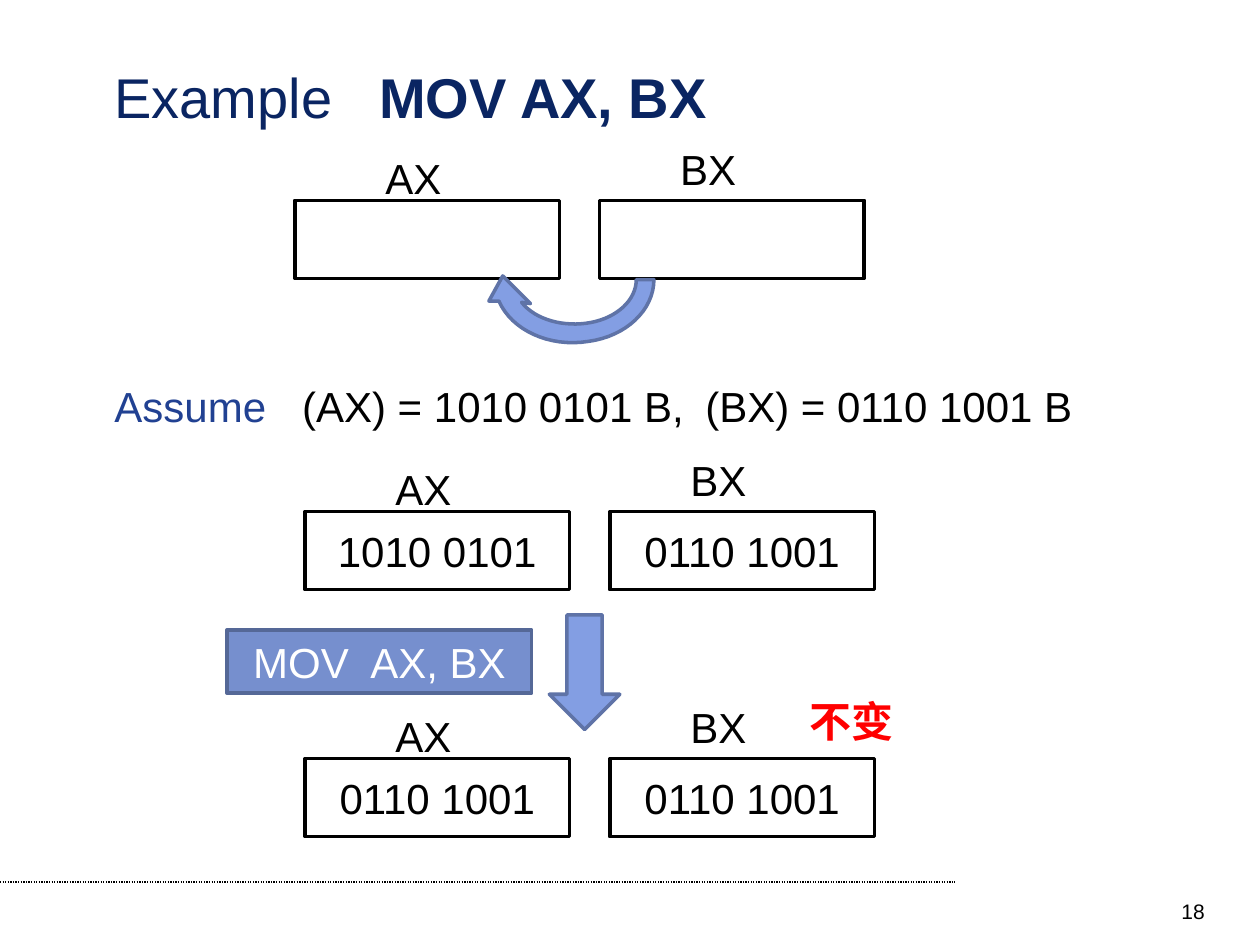
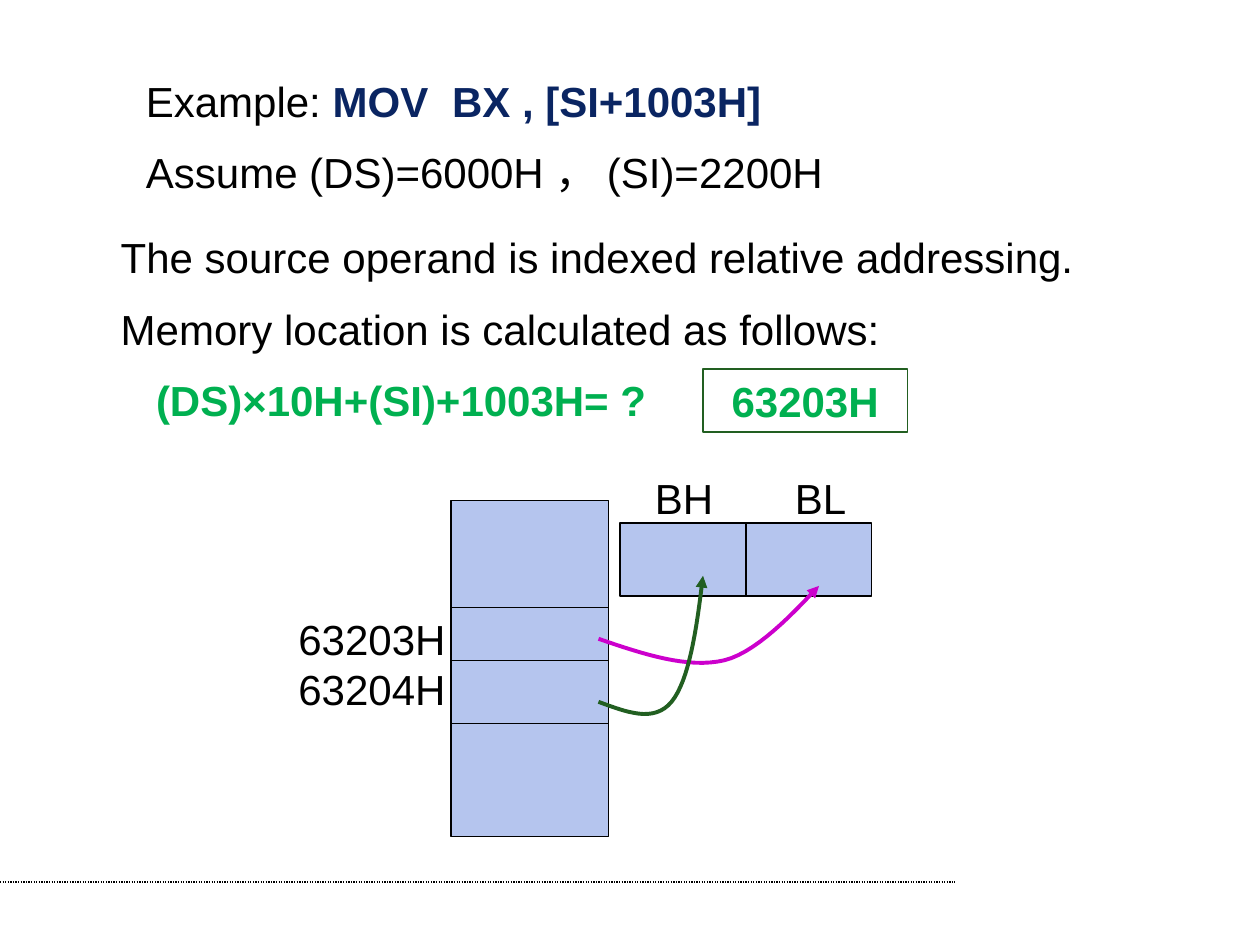
from lxml import etree
from pptx import Presentation
from pptx import util as u
from pptx.dml.color import RGBColor
from pptx.enum import dml, shapes, text
from pptx.oxml import ns

PX = 9144  # EMU per px, 100 px to the inch
FONT = "Arial"
BODY, TITLE, SMALL = 24, 32, 12

BLACK = RGBColor(0x00, 0x00, 0x00)
WHITE = RGBColor(0xFF, 0xFF, 0xFF)
NAVY = RGBColor(0x0A, 0x25, 0x62)
BLUE = RGBColor(0x21, 0x41, 0x92)
RED = RGBColor(0xFF, 0x00, 0x00)
GREEN = RGBColor(0x00, 0xB0, 0x50)
DARK_GREEN = RGBColor(0x22, 0x5F, 0x21)
MAGENTA = RGBColor(0xCC, 0x00, 0xCC)
CELL_BLUE = RGBColor(0xB5, 0xC5, 0xEE)
ARROW_BLUE = RGBColor(0x83, 0x9E, 0xE3)
ARROW_EDGE = RGBColor(0x5F, 0x73, 0xA7)
BUTTON_BLUE = RGBColor(0x76, 0x8F, 0xCE)
BUTTON_EDGE = RGBColor(0x55, 0x68, 0x97)

LEFT, CENTER, RIGHT = text.PP_ALIGN.LEFT, text.PP_ALIGN.CENTER, text.PP_ALIGN.RIGHT
TOP, MIDDLE = text.MSO_ANCHOR.TOP, text.MSO_ANCHOR.MIDDLE


def emu(*lengths):
    return [u.Emu(round(length * PX)) for length in lengths]


def curve(start, *pieces, steps=16):
    """Points along cubic pieces; a piece of one point is a straight side."""
    points = [start]
    for piece in pieces:
        if len(piece) == 1:
            points.append(piece[0])
            continue
        a, (b, c, d) = points[-1], piece
        for step in range(1, steps + 1):
            t = step / steps
            weights = ((1 - t) ** 3, 3 * t * (1 - t) ** 2, 3 * t * t * (1 - t), t ** 3)
            points.append(tuple(sum(w * p[axis] for w, p in zip(weights, (a, b, c, d)))
                                for axis in (0, 1)))
    return points


class Deck:
    """Holds the shared style and the slide being filled."""

    def __init__(self):
        self.prs = Presentation()
        self.prs.slide_width, self.prs.slide_height = emu(1000, 750)

    def new_slide(self):
        self.slide = self.prs.slides.add_slide(self.prs.slide_layouts[6])
        footer_rule = self.line(0, 700, 758, 700)
        footer_rule.line.dash_style = dml.MSO_LINE.ROUND_DOT

    def fill_text(self, shape, paragraphs, size=BODY, color=BLACK, bold=False, align=LEFT,
                  anchor=TOP, before=0, tabs=(), indents=(), inset=10):
        """Each paragraph is a list of (words, font changes) runs."""
        frame = shape.text_frame
        margins = {"margin_left": inset, "margin_right": 10,
                   "margin_top": 5, "margin_bottom": 5}
        for side, length in margins.items():
            setattr(frame, side, u.Emu(length * PX))
        frame.word_wrap = True
        frame.vertical_anchor = anchor
        for number, runs in enumerate(paragraphs):
            paragraph = frame.add_paragraph() if number else frame.paragraphs[0]
            properties = paragraph._p.get_or_add_pPr()
            if number < len(indents) and indents[number]:
                properties.set("marL", str(indents[number] * PX))
                properties.set("indent", "0")
            if tabs:
                stops = etree.SubElement(properties, ns.qn("a:tabLst"))
                for stop in tabs:
                    etree.SubElement(stops, ns.qn("a:tab"), pos=str(stop * PX), algn="l")
            paragraph.alignment = align
            if number and before:
                paragraph.space_before = u.Pt(before)
            for words, changes in runs:
                run = paragraph.add_run()
                run.text = words
                looks = {"name": FONT, "size": u.Pt(size), "bold": bold, "color": color}
                looks.update(changes)
                run.font.color.rgb = looks.pop("color")
                for key, value in looks.items():
                    setattr(run.font, key, value)

    def text(self, x, y, width, height, *paragraphs, **style):
        box = self.slide.shapes.add_textbox(*emu(x, y, width, height))
        self.fill_text(box, paragraphs, **style)

    def label(self, x, y, width, words, **style):
        self.text(x, y, width, 50, [(words, {})], **style)

    def paint(self, shape, fill, edge, weight):
        shape.shadow.inherit = False
        if fill is None:
            shape.fill.background()
        else:
            shape.fill.solid()
            shape.fill.fore_color.rgb = fill
        shape.line.color.rgb = edge
        shape.line.width = u.Pt(weight)

    def box(self, x, y, width, height, fill, edge=BLACK, weight=0.75, words="",
            kind=shapes.MSO_SHAPE.RECTANGLE, **style):
        shape = self.slide.shapes.add_shape(kind, *emu(x, y, width, height))
        self.paint(shape, fill, edge, weight)
        if words:
            self.fill_text(shape, [[(words, {})]], **style)
        return shape

    def line(self, x1, y1, x2, y2, joined=None):
        """A thin rule; joined is a box it crosses from top to bottom middle."""
        rule = self.slide.shapes.add_connector(shapes.MSO_CONNECTOR.STRAIGHT,
                                               *emu(x1, y1, x2, y2))
        if joined is not None:
            rule.begin_connect(joined, 0)
            rule.end_connect(joined, 2)
        rule.line.color.rgb = BLACK
        rule.line.width = u.Pt(0.75)
        etree.SubElement(rule._element.spPr, ns.qn("a:effectLst"))
        return rule

    def outline(self, points, edge, weight, fill=None, closed=False):
        """A freeform; an open one ends in an arrowhead."""
        corners = [emu(*point) for point in points]
        builder = self.slide.shapes.build_freeform(*corners[0])
        builder.add_line_segments(corners[1:], close=closed)
        shape = builder.convert_to_shape()
        self.paint(shape, fill, edge, weight)
        if not closed:
            etree.SubElement(shape.line._get_or_add_ln(), ns.qn("a:tailEnd"), type="triangle")

    def registers(self, x, y, ax="", bx=""):
        columns = (("AX", ax, x, 62, 43), ("BX", bx, x + 242, 54, 50))
        for name, value, left, shift, rise in columns:
            self.box(left, y, 210, 62, WHITE, weight=2, words=value,
                     align=CENTER, anchor=MIDDLE)
            self.label(left + shift, y - rise, 115, name)


def register_move(deck):
    deck.new_slide()
    deck.text(81, 51, 838, 50, [("Example\t", {}), ("MOV AX, BX", {"bold": True})],
              size=TITLE, color=NAVY, anchor=MIDDLE, tabs=(210,))
    deck.label(733, 708, 233, "18", size=SMALL, align=RIGHT)

    deck.registers(234, 159)
    deck.outline(curve((519, 222),
                       ((519, 246), (497, 267), (467, 271)),
                       ((436, 276), (406, 262), (396, 239)),
                       ((388, 239),), ((399, 219),), ((421, 241),), ((414, 240),),
                       ((425, 254), (448, 260), (469, 256)),
                       ((490, 252), (505, 238), (505, 222))),
                 ARROW_EDGE, 2, fill=ARROW_BLUE, closed=True)

    deck.text(81, 297, 838, 50,
              [("Assume\t", {"color": BLUE}),
               ("(AX) = 1010 0101 B,\t(BX) = 0110 1001 B", {})], tabs=(149, 469))
    deck.registers(242, 406, "1010 0101", "0110 1001")
    deck.box(436, 488, 56, 91, ARROW_BLUE, ARROW_EDGE, 2,
             kind=shapes.MSO_SHAPE.DOWN_ARROW)
    deck.registers(242, 602, "0110 1001", "0110 1001")
    deck.box(180, 500, 242, 50, BUTTON_BLUE, BUTTON_EDGE, 2, words="MOV\tAX, BX",
             color=WHITE, inset=21, tabs=(93,))
    deck.label(633, 547, 95, "不变", color=RED, bold=True)


def indexed_move(deck):
    deck.new_slide()
    deck.text(106, 55, 684, 107,
              [("Example: ", {}),
               ("MOV\tBX , [SI+1003H]", {"color": NAVY, "bold": True})],
              [("Assume (DS)=6000H ， (SI)=2200H", {})], before=12, tabs=(243,))
    deck.text(86, 179, 841, 164,
              [("The source operand is indexed relative addressing.", {})],
              [("Memory location is calculated as follows:", {})],
              [("(DS)×10H+(SI)+1003H= ?", {"color": GREEN, "bold": True})],
              before=12, indents=(0, 0, 28))

    memory_left, memory_width = 358, 125
    deck.box(memory_left, 397, memory_width, 267, CELL_BLUE)
    for y in (482, 524, 574):
        deck.line(memory_left, y, memory_left + memory_width, y)
    deck.text(227, 482, 137, 90, [("63203H", {})], [("63204H", {})])

    bx_register = deck.box(492, 415, 200, 58, CELL_BLUE)
    deck.line(592, 415, 592, 473, joined=bx_register)
    deck.label(510, 370, 200, "BH\tBL", tabs=(111,))

    deck.outline(curve((475, 507), ((510, 519), (546, 531), (575, 524)),
                       ((604, 517), (640, 475), (650, 465))), MAGENTA, 2.25)
    deck.outline(curve((475, 557), ((497, 565), (519, 574), (533, 557)),
                       ((547, 540), (553, 499), (558, 457))), DARK_GREEN, 2.25)
    deck.box(558, 293, 162, 50, None, DARK_GREEN, words="63203H",
             color=GREEN, bold=True, align=CENTER)


def main():
    deck = Deck()
    register_move(deck)
    indexed_move(deck)
    deck.prs.save("out.pptx")


if __name__ == "__main__":
    main()
